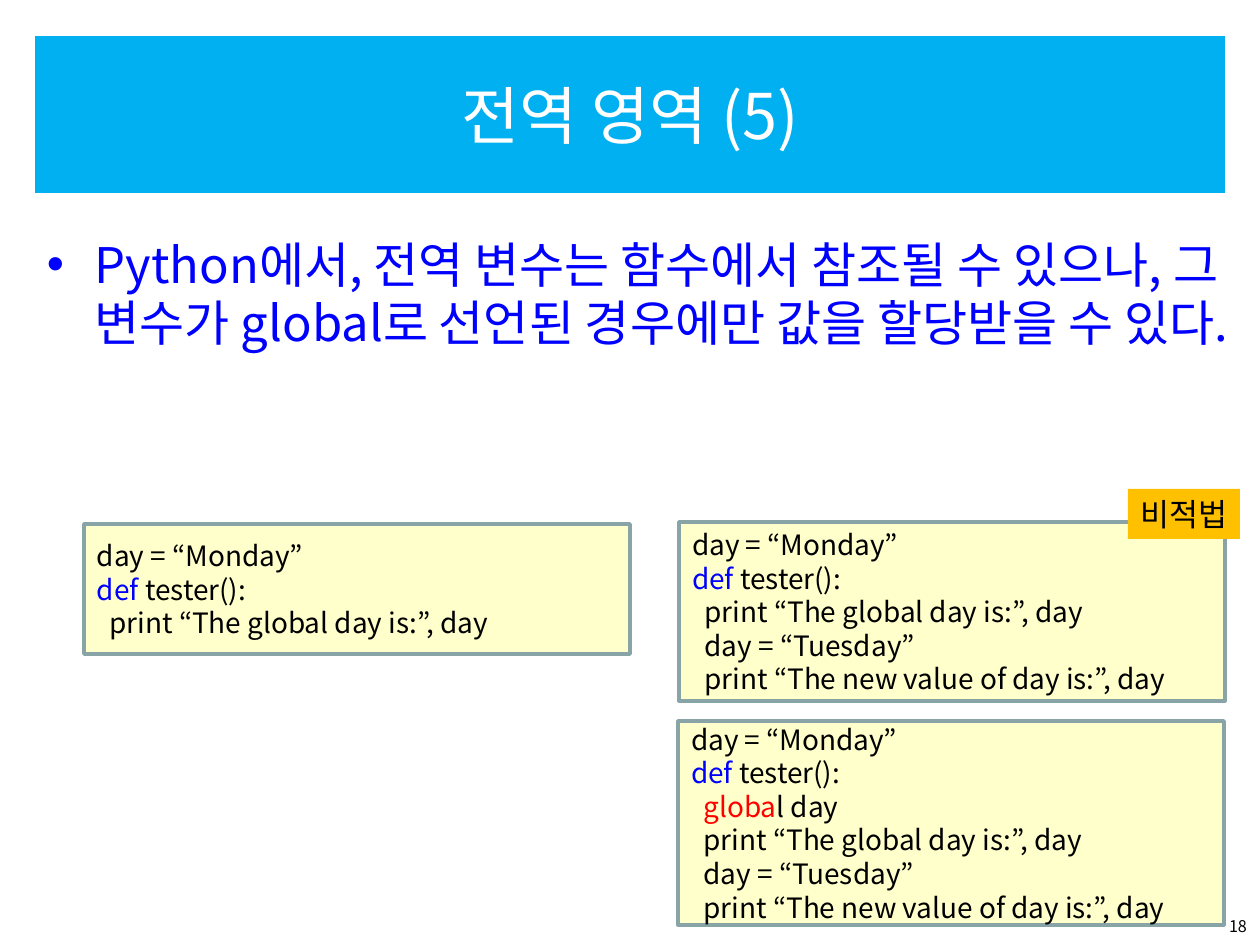
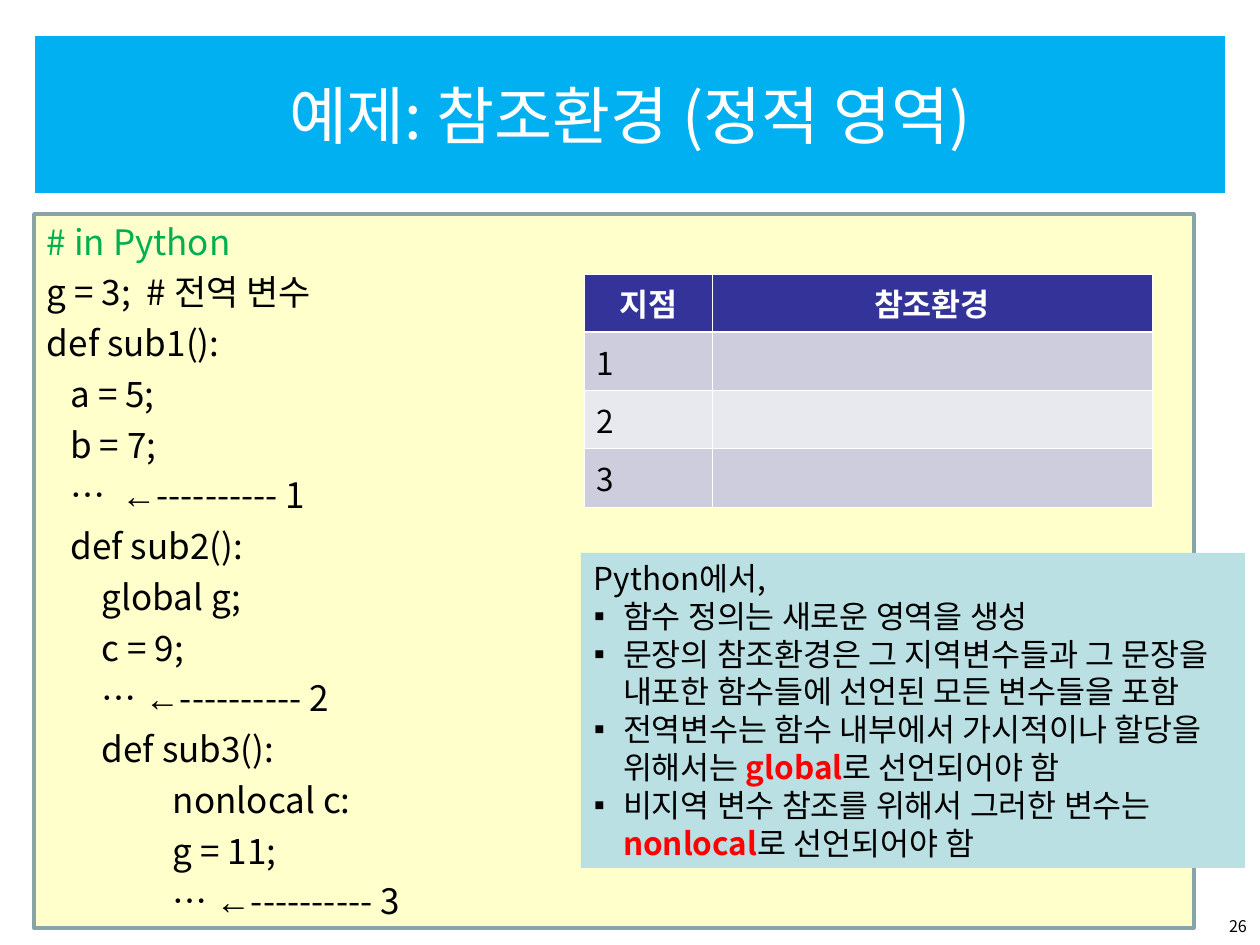
from lxml import etree
from pptx import Presentation
from pptx import util as u
from pptx.dml.color import RGBColor
from pptx.enum import shapes, text
from pptx.oxml import ns

# Scale, fonts and colours
PX = u.Inches(1) / 126
FONT = "Noto Sans CJK KR"
ARROW_FONT = "Arial"
BLACK = RGBColor(0, 0, 0)
WHITE = RGBColor(255, 255, 255)
BLUE = RGBColor(0, 0, 255)
RED = RGBColor(255, 0, 0)
GREEN = RGBColor(0, 0xB0, 0x50)
TITLE_BAND = RGBColor(0, 0xB0, 0xF0)
CODE_FILL = RGBColor(0xFF, 0xFF, 0xCC)
CODE_LINE = RGBColor(0x89, 0xA4, 0xA7)
TAG_FILL = RGBColor(0xFF, 0xC0, 0)
NOTE_FILL = RGBColor(0xBB, 0xE0, 0xE3)
HEADER_FILL = RGBColor(0x33, 0x33, 0x99)
ROW_FILLS = RGBColor(0xCD, 0xCD, 0xDE), RGBColor(0xE8, 0xE8, 0xEF)

# Regions: left, top, width, height in px
TITLE_BOX = (35, 36, 1190, 157)
NUMBER_BOX = (966, 910, 294, 35)
TAB_STOP = 126

# Runs that differ from the plain text around them
DEF = ("def", {"color": BLUE})
ARROW = ("←", {"name": ARROW_FONT})
STRONG = {"color": RED, "bold": True}

GLOBAL_DAY = ["day = “Monday”", [DEF, " tester():"],
              "  print “The global day is:”, day"]
NEW_DAY = ["  day = “Tuesday”", "  print “The new value of day is:”, day"]
DECLARED_DAY = [*GLOBAL_DAY[:2], ["  ", ("globa", {"color": RED}), "l day"],
                GLOBAL_DAY[2], *NEW_DAY]
SCOPE_CODE = [
    [("# in Python", {"color": GREEN})],
    "g = 3;  # 전역 변수",
    "def sub1():",
    "   a = 5;",
    "   b = 7;",
    ["   …  ", ARROW, "---------- 1"],
    "   def sub2():",
    "       global g;",
    "       c = 9;",
    ["       … ", ARROW, "---------- 2"],
    "       def sub3():",
    "\tnonlocal c:",
    "\tg = 11;",
    ["\t… ", ARROW, "---------- 3"],
]
SCOPE_NOTES = [
    "Python에서,",
    "함수 정의는 새로운 영역을 생성",
    "문장의 참조환경은 그 지역변수들과 그 문장을 내포한 함수들에 선언된 모든 변수들을 포함",
    ["전역변수는 함수 내부에서 가시적이나 할당을 위해서는 ", ("global", STRONG),
     "로 선언되어야 함"],
    ["비지역 변수 참조를 위해서 그러한 변수는 ", ("nonlocal", STRONG),
     "로 선언되어야 함"],
]


def px(*lengths):
    return [u.Emu(round(length * PX)) for length in lengths]


def add_element(parent, tag, **attributes):
    return etree.SubElement(parent, ns.qn(tag), attributes)


def add_run(paragraph, words, size, color=BLACK, name=FONT, bold=False):
    run = paragraph.add_run()
    run.text = words
    for key, value in {"size": u.Pt(size), "name": name, "bold": bold}.items():
        setattr(run.font, key, value)
    run.font.color.rgb = color
    run.font._element.set("kern", "0")
    add_element(run.font._element, "a:ea", typeface=name)


def set_bullet(paragraph, character, color, indent):
    properties = paragraph._p.get_or_add_pPr()
    distance = px(indent)[0]
    properties.set("marL", str(distance))
    properties.set("indent", str(-distance))
    fill = add_element(properties, "a:buClr")
    add_element(fill, "a:srgbClr", val=str(color))
    add_element(properties, "a:buFont", typeface="Arial")
    add_element(properties, "a:buChar", char=character)


def set_tab(paragraph, position):
    tabs = add_element(paragraph._p.get_or_add_pPr(), "a:tabLst")
    add_element(tabs, "a:tab", pos=str(px(position)[0]), algn="l")


def write(frame, lines, size, color=BLACK, align=text.PP_ALIGN.LEFT, gap=0,
          bold=False):
    """Write lines, each a string or a list of strings and (words, style)."""
    for index, line in enumerate(lines):
        paragraph = frame.add_paragraph() if index else frame.paragraphs[0]
        layout = {"alignment": align, "line_spacing": 1.0,
                  "space_before": u.Pt(gap if index else 0)}
        for key, value in layout.items():
            setattr(paragraph, key, value)
        for part in [line] if isinstance(line, str) else line:
            words, style = (part, {}) if isinstance(part, str) else part
            add_run(paragraph, words, size,
                    **{"color": color, "bold": bold, **style})


def set_frame(frame, anchor=text.MSO_ANCHOR.TOP, wrap=True, right=13):
    left, right, edge = px(13, right, 6)
    options = {"vertical_anchor": anchor, "word_wrap": wrap,
               "auto_size": text.MSO_AUTO_SIZE.NONE,
               "margin_left": left, "margin_right": right,
               "margin_top": edge, "margin_bottom": edge}
    for key, value in options.items():
        setattr(frame, key, value)


def place(shape, box):
    for key, value in zip(("left", "top", "width", "height"), px(*box)):
        setattr(shape, key, value)


def set_fill(target, color):
    target.fill.solid()
    target.fill.fore_color.rgb = color


def add_panel(slide, box, fill, line=None):
    shape = slide.shapes.add_shape(shapes.MSO_SHAPE.RECTANGLE, *px(*box))
    shape.shadow.inherit = False
    set_fill(shape, fill)
    if line is None:
        shape.line.fill.background()
    else:
        shape.line.color.rgb = line
        shape.line.width = u.Pt(2)
    return shape


def add_titled_slide(presentation, layout, title, number):
    slide = presentation.slides.add_slide(presentation.slide_layouts[layout])
    # Title band
    shape = slide.shapes.title
    place(shape, TITLE_BOX)
    set_fill(shape, TITLE_BAND)
    set_frame(shape.text_frame, text.MSO_ANCHOR.MIDDLE)
    write(shape.text_frame, [title], 36, WHITE, text.PP_ALIGN.CENTER)
    # Page number
    frame = slide.shapes.add_textbox(*px(*NUMBER_BOX)).text_frame
    set_frame(frame)
    write(frame, [str(number)], 9.2, align=text.PP_ALIGN.RIGHT)
    return slide


def add_code(slide, box, lines, size=16, gap=0):
    frame = add_panel(slide, box, CODE_FILL, CODE_LINE).text_frame
    set_frame(frame, text.MSO_ANCHOR.MIDDLE)
    write(frame, lines, size, gap=gap)
    for paragraph in frame.paragraphs:
        if "\t" in paragraph.text:
            set_tab(paragraph, TAB_STOP)


def add_tag(slide, box, label):
    frame = add_panel(slide, box, TAG_FILL).text_frame
    set_frame(frame, wrap=False, right=6)
    write(frame, [label], 18)


def add_notes(slide, box, lines):
    frame = add_panel(slide, box, NOTE_FILL).text_frame
    set_frame(frame)
    write(frame, lines, 18)
    for paragraph in frame.paragraphs[1:]:
        set_bullet(paragraph, "▪", BLACK, 29)


def set_borders(cell, **widths):
    properties = cell._tc.get_or_add_tcPr()
    for index, side in enumerate("LRTB"):
        width = u.Pt(widths.get(side, 0.45))
        line = etree.Element(ns.qn(f"a:ln{side}"), {"w": str(width)})
        fill = add_element(line, "a:solidFill")
        add_element(fill, "a:srgbClr", val=str(WHITE))
        properties.insert(index, line)


def add_environment_table(slide, left, top, columns, row_height, rows):
    box = (left, top, sum(columns), row_height * len(rows))
    table = slide.shapes.add_table(len(rows), len(columns), *px(*box)).table
    for column, width in zip(table.columns, px(*columns)):
        column.width = width
    for r, row in enumerate(rows):
        header = r == 0
        for c, words in enumerate(row):
            cell = table.cell(r, c)
            set_fill(cell, HEADER_FILL if header else ROW_FILLS[(r - 1) % 2])
            set_borders(cell, **({"B": 1.47} if header else
                                 {"T": 1.47} if r == 1 else {}))
            if words:
                write(cell.text_frame, [words], 18,
                      WHITE if header else BLACK,
                      text.PP_ALIGN.CENTER if header else text.PP_ALIGN.LEFT,
                      bold=header)


def build_global_scope(presentation):
    slide = add_titled_slide(presentation, 1, "전역 영역 (5)", 18)
    # Rule for global variables
    body = slide.placeholders[1]
    place(body, (34, 228, 1211, 698))
    set_frame(body.text_frame)
    write(body.text_frame,
          ["Python에서, 전역 변수는 함수에서 참조될 수 있으나, "
           "그 변수가 global로 선언된 경우에만 값을 할당받을 수 있다."], 28, BLUE)
    set_bullet(body.text_frame.paragraphs[0], "•", BLUE, 48)
    # Code samples
    add_code(slide, (84, 524, 546, 130), GLOBAL_DAY)
    add_code(slide, (679, 522, 546, 179), GLOBAL_DAY + NEW_DAY)
    add_code(slide, (678, 721, 546, 204), DECLARED_DAY)
    add_tag(slide, (1128, 489, 112, 50), "비적법")


def build_environment_example(presentation):
    slide = add_titled_slide(presentation, 5, "예제: 참조환경 (정적 영역)", 26)
    add_code(slide, (34, 214, 1160, 714), SCOPE_CODE, size=20, gap=5)
    add_environment_table(slide, 584, 274, (128, 440), 58,
                          [("지점", "참조환경"), ("1", ""), ("2", ""), ("3", "")])
    add_notes(slide, (581, 553, 664, 315), SCOPE_NOTES)


def main():
    presentation = Presentation()
    presentation.slide_width, presentation.slide_height = px(1260, 945)
    build_global_scope(presentation)
    build_environment_example(presentation)
    presentation.save("out.pptx")


if __name__ == "__main__":
    main()
